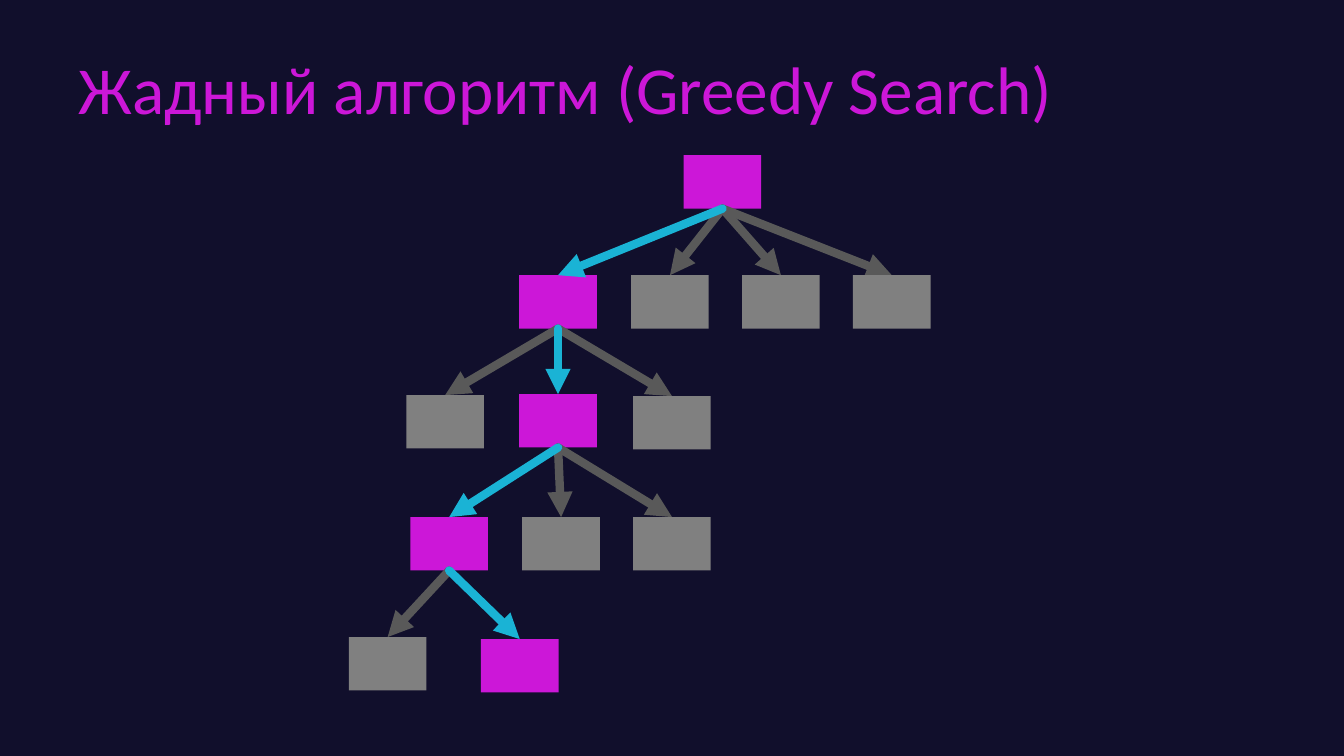
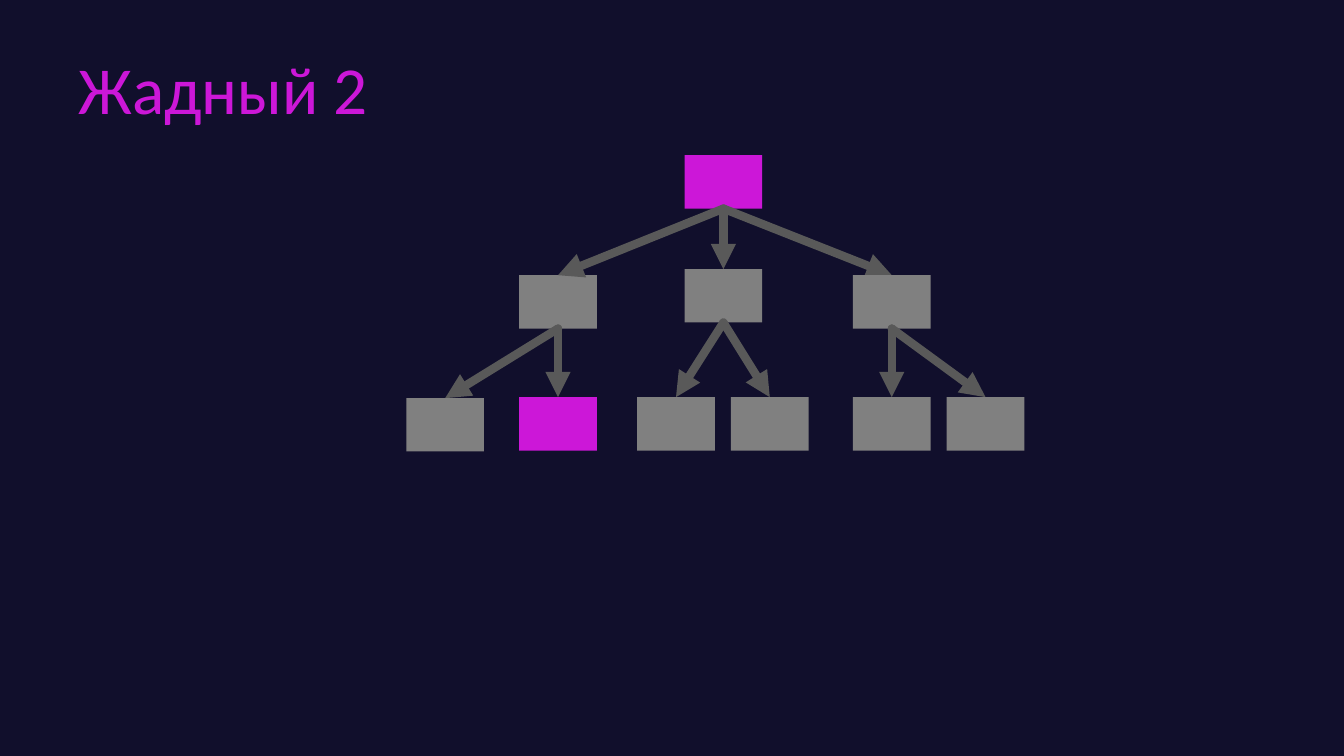
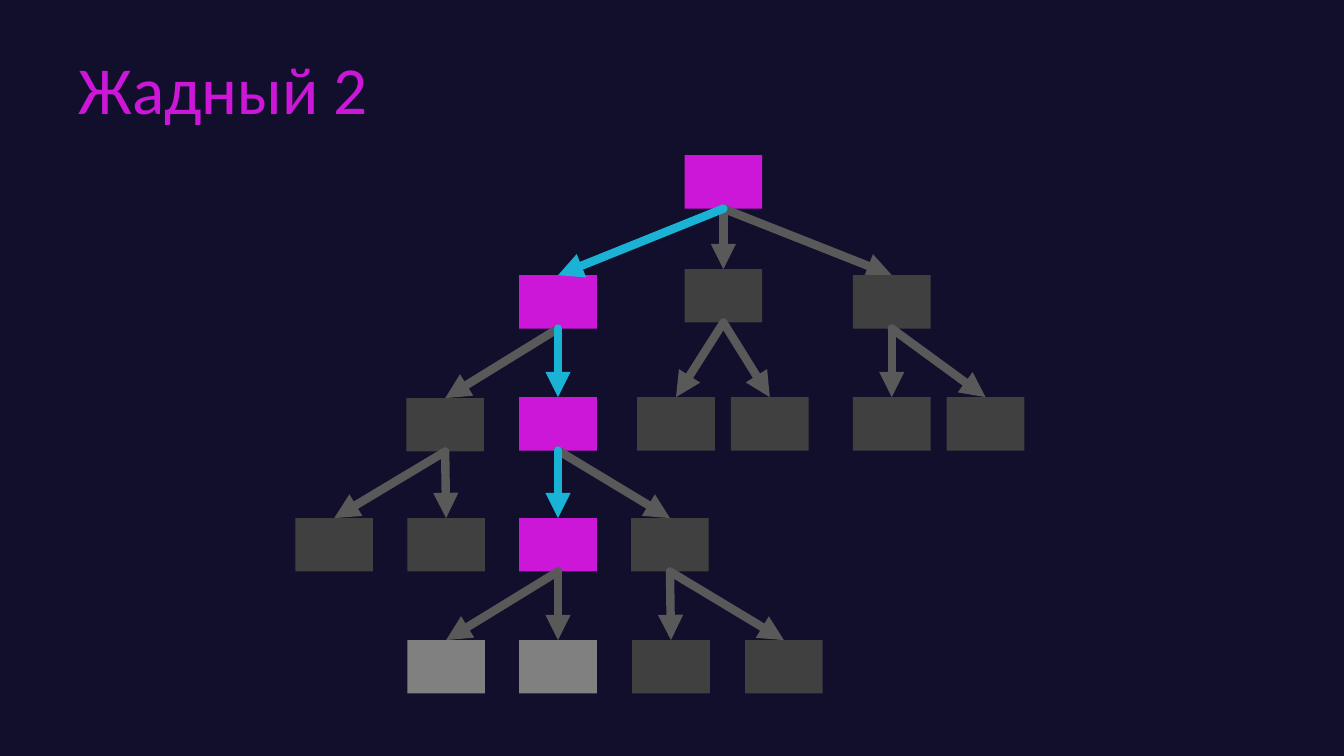
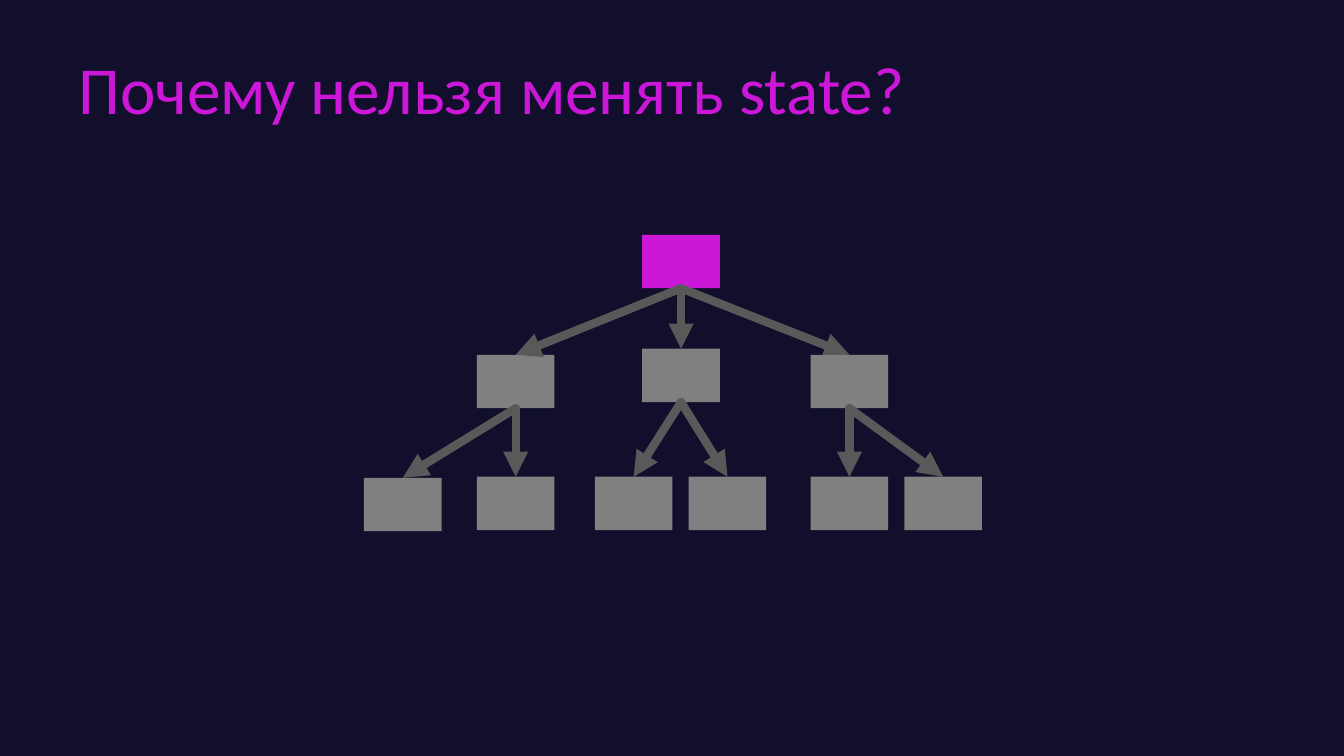
from lxml import etree
from pptx import Presentation
from pptx.dml.color import RGBColor
from pptx.enum.shapes import MSO_CONNECTOR, MSO_SHAPE
from pptx.enum.text import MSO_ANCHOR
from pptx.oxml.ns import qn
from pptx.util import Inches, Pt

RECT = MSO_SHAPE.RECTANGLE
LINE = MSO_CONNECTOR.STRAIGHT
MIDDLE = MSO_ANCHOR.MIDDLE
TOP, BOTTOM = 0, 2  # connection sites of a rectangle

HEX = {
    "back": "110F2C",
    "hot": "CC17D8",
    "way": "1AB3D5",
    "link": "595959",
    "cold": "808080",
    "dim": "404040",
}
FONT = "Calibri"
NODE_W, NODE_H = 0.77, 0.53

# Each key spells the way down from the root "", so key[:-1] is the parent.
# Values are left and top, in inches from the root's corner.
GREEDY = {
    "": (0, 0),
    "a": (-1.63, 1.19), "b": (-0.52, 1.19), "c": (0.58, 1.19), "d": (1.68, 1.19),
    "aa": (-2.75, 2.38), "ab": (-1.63, 2.37), "ac": (-0.5, 2.39),
    "aba": (-2.71, 3.59), "abb": (-1.6, 3.59), "abc": (-0.5, 3.59),
    "abaa": (-3.32, 4.78), "abab": (-2.01, 4.8),
}
SHORT = {
    "": (0, 0),
    "a": (-1.64, 1.19), "b": (0, 1.13), "c": (1.67, 1.19),
    "aa": (-2.76, 2.41), "ab": (-1.64, 2.4),
    "ba": (-0.47, 2.4), "bb": (0.46, 2.4),
    "ca": (1.67, 2.4), "cb": (2.6, 2.4),
}
DEEP = {
    **SHORT,
    "aaa": (-3.86, 3.6), "aab": (-2.75, 3.6),
    "aba": (-1.64, 3.6), "abb": (-0.53, 3.6),
    "abaa": (-2.75, 4.81), "abab": (-1.64, 4.81),
    "abba": (-0.52, 4.81), "abbb": (0.6, 4.81),
}


def rgb(name):
    return RGBColor.from_string(HEX[name])


def add_title(slide, text, left=0.68, top=0.3, width=12.19, height=1.24):
    box = slide.shapes.add_textbox(
        Inches(left), Inches(top), Inches(width), Inches(height))
    frame = box.text_frame
    frame.word_wrap = True
    frame.vertical_anchor = MIDDLE
    para = frame.paragraphs[0]
    para.line_spacing = 0.9
    run = para.add_run()
    run.text = text
    run.font.name = FONT
    run.font.size = Pt(48)
    run.font.color.rgb = rgb("hot")


def add_node(slide, left, top, fill):
    node = slide.shapes.add_shape(
        RECT, Inches(left), Inches(top), Inches(NODE_W), Inches(NODE_H))
    node.shadow.inherit = False
    node.fill.solid()
    node.fill.fore_color.rgb = rgb(fill)
    node.line.fill.background()
    return node


def add_arrow(slide, color):
    """Add a loose arrow, to be glued to its two nodes by join."""
    arrow = slide.shapes.add_connector(LINE, 0, 0, 0, 0)
    arrow.line.color.rgb = rgb(color)
    arrow.line.width = Pt(6)
    line = arrow.line._get_or_add_ln()
    line.set("cap", "rnd")
    etree.SubElement(line, qn("a:tailEnd"), type="triangle")
    etree.SubElement(arrow._element.spPr, qn("a:effectLst"))
    return arrow


def join(arrow, parent, child):
    arrow.begin_connect(parent, BOTTOM)
    arrow.end_connect(child, TOP)


def add_tree(slide, tree, left, top, hot, rest="cold", cold=()):
    """Draw a tree with its root's corner at left, top.

    Keys in hot are chosen nodes, keys in cold stay grey, others take rest.
    """
    nodes, front = {}, []
    for key, (x, y) in tree.items():
        up = key[:-1]
        chosen = key in hot and up in hot
        arrow = None
        if chosen or key == "a":
            front.append((key, "way" if key and chosen else "link"))
        elif key:
            arrow = add_arrow(slide, "link")
        fill = "hot" if key in hot else "cold" if key in cold else rest
        nodes[key] = add_node(slide, left + x, top + y, fill)
        if arrow:
            join(arrow, nodes[up], nodes[key])
    for key, color in front:
        if key:
            join(add_arrow(slide, color), nodes[key[:-1]], nodes[key])


def add_slide(deck, title, *args, **opts):
    slide = deck.slides.add_slide(deck.slide_layouts[6])
    slide.background.fill.solid()
    slide.background.fill.fore_color.rgb = rgb("back")
    add_title(slide, title)
    add_tree(slide, *args, **opts)


def main():
    deck = Presentation()
    deck.slide_width, deck.slide_height = Inches(13.33), Inches(7.5)
    add_slide(deck, "Жадный алгоритм (Greedy Search)", GREEDY, 6.78, 1.54,
              hot=("", "a", "ab", "aba", "abab"))
    add_slide(deck, "Жадный 2", SHORT, 6.79, 1.54, hot=("", "ab"))
    add_slide(deck, "Жадный 2", DEEP, 6.79, 1.54,
              hot=("", "a", "ab", "aba"), rest="dim", cold=("abaa", "abab"))
    add_slide(deck, "Почему нельзя менять state?", SHORT, 6.37, 2.33, hot=("",))
    deck.save("out.pptx")


if __name__ == "__main__":
    main()
